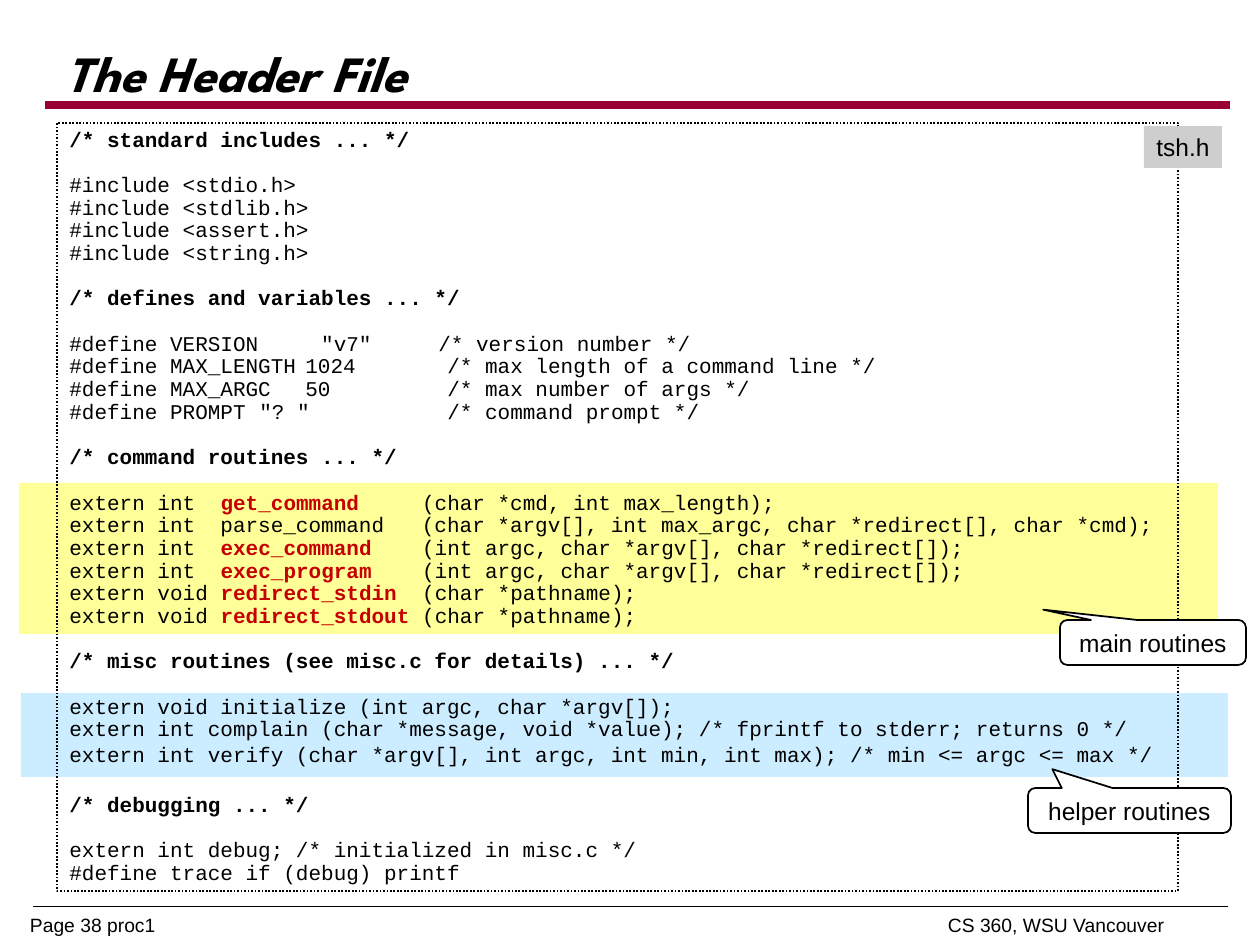
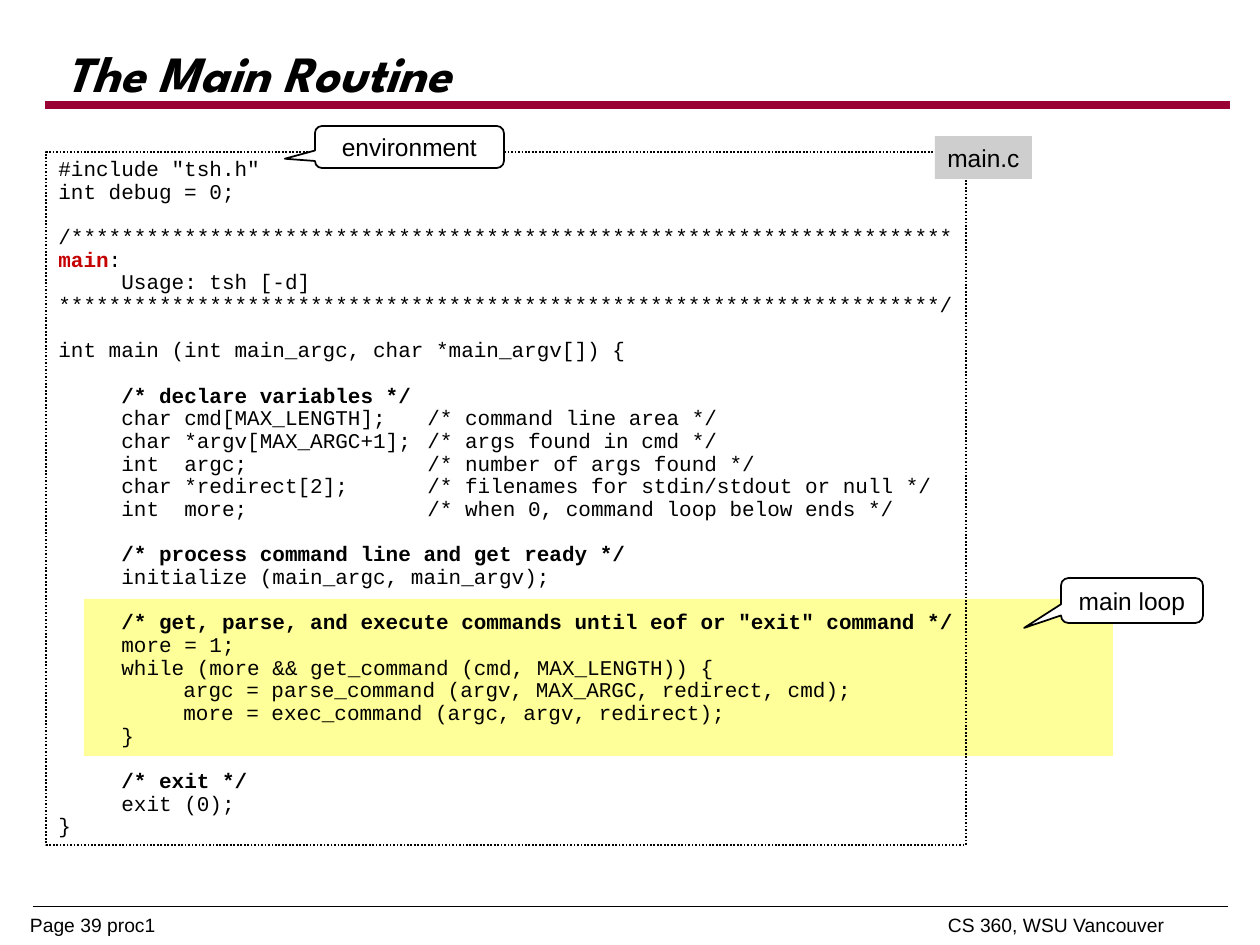
import pptx
import pptx.dml.color
import pptx.enum.dml
import pptx.enum.shapes
import pptx.enum.text
import pptx.oxml.ns
import pptx.util
from lxml import etree

SHAPES = pptx.enum.shapes.MSO_SHAPE
ANCHOR = pptx.enum.text.MSO_ANCHOR
ALIGN = pptx.enum.text.PP_ALIGN
BLACK, WHITE, GREY = "000000", "FFFFFF", "CECECE"
CRIMSON, RED = "990033", "C50000"
YELLOW, BLUE = "FFFF99", "CCECFF"
CODE_TABS = (63, 125, 190, 236, 369, 378, 504)
CODE_LINE = 14.4  # height of one 12 pt code line, in points
SINGLE_SPACED = ("extern int verify", "/* debugging")

# Code listings as lists of sections, set apart by one line:
# names between backticks are red, lines opening with "/* " are bold
HEADER_CODE = [
    "/* standard includes ... */",
    """#include <stdio.h>
#include <stdlib.h>
#include <assert.h>
#include <string.h>""",
    "/* defines and variables ... */",
    """#define VERSION     "v7"\t/* version number */
#define MAX_LENGTH\t1024\t\t/* max length of a command line */
#define MAX_ARGC \t50\t\t/* max number of args */
#define PROMPT \t"? "\t\t/* command prompt */""",
    "/* command routines ... */",
    """extern int  `get_command`     (char *cmd, int max_length);
extern int  parse_command   (char *argv[], int max_argc, char *redirect[], char *cmd);
extern int  `exec_command`    (int argc, char *argv[], char *redirect[]);
extern int  `exec_program`    (int argc, char *argv[], char *redirect[]);
extern void `redirect_stdin`  (char *pathname);
extern void `redirect_stdout` (char *pathname);""",
    "/* misc routines (see misc.c for details) ... */",
    """extern void initialize (int argc, char *argv[]);
extern int complain (char *message, void *value); /* fprintf to stderr; returns 0 */
extern int verify (char *argv[], int argc, int min, int max); /* min <= argc <= max */""",
    "/* debugging ... */",
    """extern int debug; /* initialized in misc.c */
#define trace if (debug) printf""",
]

STARS = "*" * 70
MAIN_CODE = [
    """#include "tsh.h"
int debug = 0;""",
    f"""/{STARS}
`main`:
\tUsage: tsh [-d]
{STARS}/""",
    "int main (int main_argc, char *main_argv[]) {",
    """\t/* declare variables */
\tchar cmd[MAX_LENGTH];\t/* command line area */
\tchar *argv[MAX_ARGC+1];\t/* args found in cmd */
\tint  argc;\t\t\t/* number of args found */
\tchar *redirect[2];\t/* filenames for stdin/stdout or null */
\tint  more;\t\t\t/* when 0, command loop below ends */""",
    """\t/* process command line and get ready */
\tinitialize (main_argc, main_argv);""",
    """\t/* get, parse, and execute commands until eof or "exit" command */
\tmore = 1;
\twhile (more && get_command (cmd, MAX_LENGTH)) {
\t\targc = parse_command (argv, MAX_ARGC, redirect, cmd);
\t\tmore = exec_command (argc, argv, redirect);
\t}""",
    """\t/* exit */
\texit (0);
}""",
]

# Boxes are left, top, width, height in px; callouts add the tip offsets
PAGES = [
    dict(title="The Header File", footer="Page 38 proc1",
         bands=[((21, 693, 1207, 84), BLUE), ((19, 483, 1199, 151), YELLOW)],
         code=HEADER_CODE, code_box=(57, 123, 1121, 768),
         file_name="tsh.h", file_box=(1144, 126, 78, 42),
         callouts=[("main routines", (1060, 620, 186, 45), (-0.59, -0.73)),
                   ("helper routines", (1028, 788, 203, 45), (-0.38, -0.92))]),
    dict(title="The Main Routine", footer="Page 39 proc1",
         bands=[((84, 599, 1029, 157), YELLOW)],
         code=MAIN_CODE, code_box=(46, 152, 920, 693),
         file_name="main.c", file_box=(935, 136, 97, 43),
         callouts=[("environment", (315, 126, 189, 42), (-0.66, 0.28)),
                   ("main loop", (1061, 578, 142, 45), (-0.76, 0.61))]),
]


def px(length):
    return round(length * 914400 / 126)


def color(hex_code):
    return pptx.dml.color.RGBColor.from_string(hex_code)


deck = pptx.Presentation()
deck.slide_width, deck.slide_height = px(1260), px(945)

for page in PAGES:
    slide = deck.slides.add_slide(deck.slide_layouts[6])

    # Footer line and title rule
    for left, right, y, hue, weight in ((33, 1228, 906, BLACK, 0.25),
                                        (45, 1230, 105, CRIMSON, 4.5)):
        rule = slide.shapes.add_connector(
            pptx.enum.shapes.MSO_CONNECTOR.STRAIGHT, px(left), px(y), px(right), px(y))
        rule.line.color.rgb = color(hue)
        rule.line.width = pptx.util.Pt(weight)
        etree.SubElement(rule._element.spPr, pptx.oxml.ns.qn("a:effectLst"))

    # Title and footer texts
    for text, place, name, size, spacing in (
            (page["footer"], (30, 915, 300, 30), "Arial", 11, 0.96),
            ("CS 360, WSU Vancouver", (948, 915, 265, 30), "Arial", 11, 0.96),
            (page["title"], (53, 39, 1206, 76), "League Spartan", 29, 0.87)):
        box = slide.shapes.add_textbox(*map(px, place))
        frame = box.text_frame
        frame.word_wrap = True
        is_title = text == page["title"]
        if is_title:
            frame.vertical_anchor = ANCHOR.MIDDLE
        else:
            frame.margin_left = frame.margin_right = 0
            frame.margin_top = frame.margin_bottom = 0
        para = frame.paragraphs[0]
        para.text = text
        para.line_spacing = spacing
        para.font.name = name
        para.font.size = pptx.util.Pt(size)
        para.font.bold = para.font.italic = is_title
        para.font.color.rgb = color(BLACK)

    # Highlight bands behind the code
    for place, hue in page["bands"]:
        band = slide.shapes.add_shape(SHAPES.RECTANGLE, *map(px, place))
        band.shadow.inherit = False
        band.fill.solid()
        band.fill.fore_color.rgb = color(hue)
        band.line.fill.background()

    # Code listing in a dotted frame
    listing = slide.shapes.add_shape(SHAPES.RECTANGLE, *map(px, page["code_box"]))
    listing.shadow.inherit = False
    listing.fill.background()
    listing.line.color.rgb = color(BLACK)
    listing.line.width = pptx.util.Pt(1)
    listing.line.dash_style = pptx.enum.dml.MSO_LINE.ROUND_DOT
    frame = listing.text_frame
    frame.word_wrap = True
    frame.margin_right = 0
    frame.vertical_anchor = ANCHOR.MIDDLE
    para = frame.paragraphs[0]
    for section_number, section in enumerate(page["code"]):
        for line_number, line in enumerate(section.split("\n")):
            if section_number or line_number:
                para = frame.add_paragraph()
            para.alignment = ALIGN.LEFT
            para.line_spacing = 1.0 if line.startswith(SINGLE_SPACED) else 0.9
            if section_number and not line_number:
                para.space_before = pptx.util.Pt(CODE_LINE * para.line_spacing)
            tab_list = etree.SubElement(para._p.get_or_add_pPr(), pptx.oxml.ns.qn("a:tabLst"))
            for stop in CODE_TABS:
                etree.SubElement(tab_list, pptx.oxml.ns.qn("a:tab"), pos=str(px(stop)), algn="l")
            para.font.name = "Courier New"
            para.font.size = pptx.util.Pt(12)
            para.font.color.rgb = color(BLACK)
            para.font.bold = line.strip().startswith("/* ")
            for index, part in enumerate(line.split("`")):
                if part:
                    span = para.add_run()
                    span.text = part
                    if index % 2:
                        span.font.bold = True
                        span.font.color.rgb = color(RED)

    # File name tag and callouts
    labels = [(page["file_name"], page["file_box"], None)] + page["callouts"]
    for text, place, tip in labels:
        kind = SHAPES.ROUNDED_RECTANGULAR_CALLOUT if tip else SHAPES.RECTANGLE
        label = slide.shapes.add_shape(kind, *map(px, place))
        label.shadow.inherit = False
        label.fill.solid()
        label.fill.fore_color.rgb = color(WHITE if tip else GREY)
        if tip:
            label.adjustments[0], label.adjustments[1] = tip
            label.line.color.rgb = color(BLACK)
            label.line.width = pptx.util.Pt(1)
        else:
            label.line.fill.background()
        label.text_frame.word_wrap = False
        label.text_frame.vertical_anchor = ANCHOR.MIDDLE
        para = label.text_frame.paragraphs[0]
        para.text = text
        para.alignment = ALIGN.CENTER
        para.font.name = "Arial"
        para.font.size = pptx.util.Pt(14)
        para.font.color.rgb = color(BLACK)

deck.save("out.pptx")
